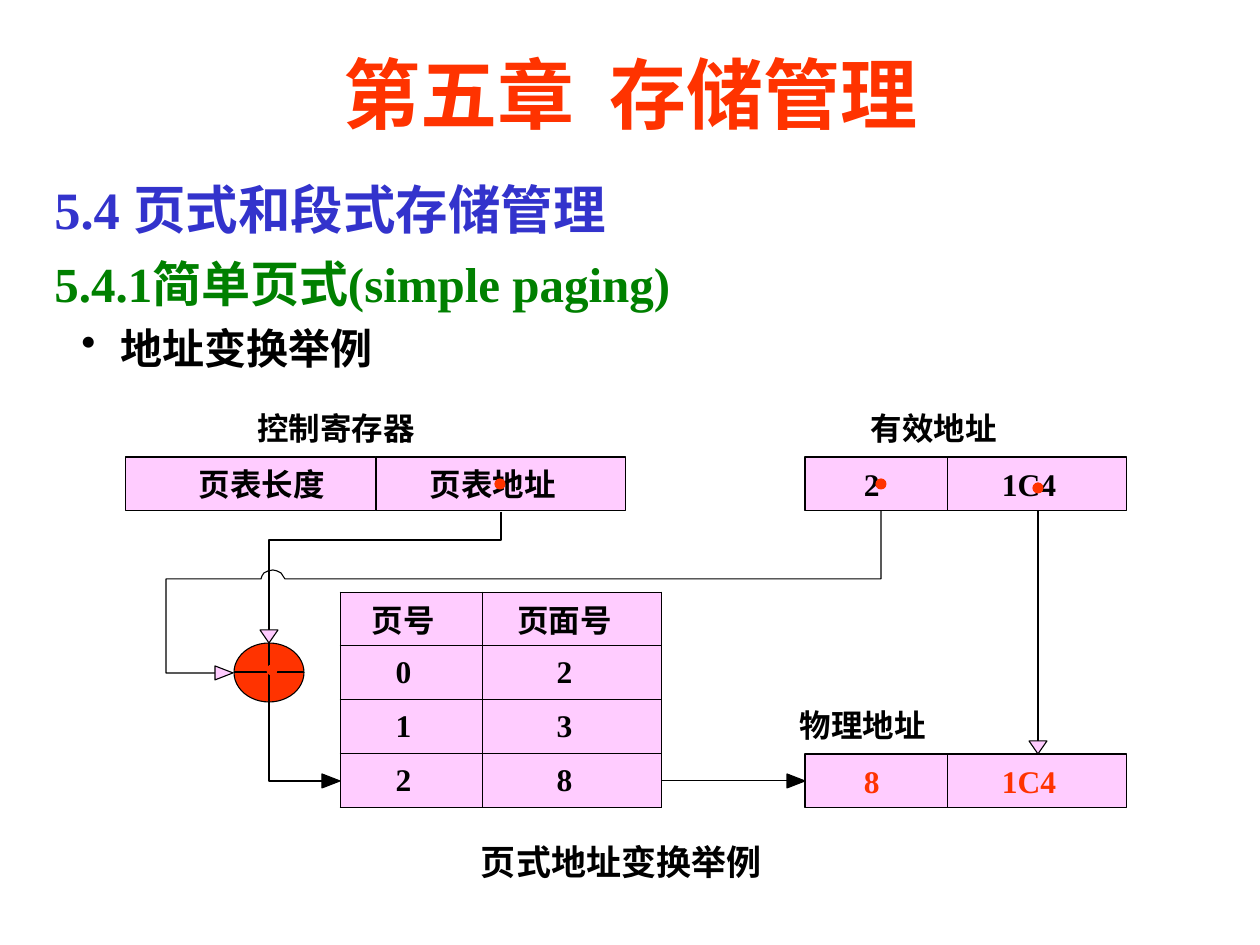
from lxml import etree
from pptx import Presentation
from pptx.dml.color import RGBColor
from pptx.enum.shapes import MSO_CONNECTOR, MSO_SHAPE
from pptx.enum.text import MSO_ANCHOR, MSO_AUTO_SIZE, PP_ALIGN
from pptx.oxml.ns import qn
from pptx.util import Pt

PX = 7257
STRAIGHT = MSO_CONNECTOR.STRAIGHT
RECTANGLE, OVAL = MSO_SHAPE.RECTANGLE, MSO_SHAPE.OVAL
MIDDLE, LEFT, CENTER = MSO_ANCHOR.MIDDLE, PP_ALIGN.LEFT, PP_ALIGN.CENTER
FONT = "Times New Roman"
THIN = Pt(0.63)
COLORS = {
    "red": "FF3300",
    "blue": "3333CC",
    "green": "008000",
    "black": "000000",
    "pink": "FFCCFF",
}


def write(paragraph, text, size=18, color="black", align=LEFT, before=0, spacing=None):
    paragraph.alignment = align
    paragraph.space_before = Pt(before)
    paragraph.line_spacing = spacing
    run = paragraph.add_run()
    run.text = text
    run.font.name = FONT
    run.font.size = Pt(size)
    run.font.bold = True
    run.font.color.rgb = RGBColor.from_string(COLORS[color])


def paint(shape, fill=None, line="black"):
    shape.shadow.inherit = False
    if fill:
        shape.fill.solid()
        shape.fill.fore_color.rgb = RGBColor.from_string(COLORS[fill])
    else:
        shape.fill.background()
    shape.line.color.rgb = RGBColor.from_string(COLORS[line])
    shape.line.width = THIN


presentation = Presentation()
presentation.slide_width = 1260 * PX
presentation.slide_height = 945 * PX
slide = presentation.slides.add_slide(presentation.slide_layouts[5])
shapes = slide.shapes

title = shapes.title
title.left, title.top, title.width, title.height = 95 * PX, 35 * PX, 1071 * PX, 116 * PX
title.text_frame.auto_size = MSO_AUTO_SIZE.NONE
title.text_frame.vertical_anchor = MIDDLE
write(title.text_frame.paragraphs[0], "第五章  存储管理", size=44, color="red", align=CENTER)

outline = shapes.add_textbox(42 * PX, 168 * PX, 1166 * PX, 210 * PX).text_frame
outline.word_wrap = True
heading = outline.paragraphs[0]
write(heading, "5.4 页式和段式存储管理", size=30, color="blue", before=6, spacing=1.05)
subheading = outline.add_paragraph()
write(subheading, "5.4.1简单页式(simple paging)", size=28, color="green", before=5.6, spacing=1.05)
topic = outline.add_paragraph()
write(topic, "地址变换举例", size=24, before=4.8, spacing=1.05)
topic_properties = topic._p.get_or_add_pPr()
topic_properties.set("marL", str(66 * PX))
topic_properties.set("indent", str(-39 * PX))
etree.SubElement(topic_properties, qn("a:buChar"), char="•")

for text, left, top, width, size in [
    ("控制寄存器", 257, 409, 159, 18),
    ("有效地址", 871, 409, 127, 18),
    ("物理地址", 800, 706, 127, 18),
    ("页式地址变换举例", 481, 840, 282, 20),
]:
    label = shapes.add_textbox(left * PX, top * PX, width * PX, 46 * PX).text_frame
    label.margin_left = label.margin_right = label.margin_top = label.margin_bottom = 0
    label.word_wrap = False
    write(label.paragraphs[0], text, size=size)

for text, left, top, width, inset, color in [
    ("页表长度", 126, 457, 250, 73, "black"),
    ("页表地址", 376, 457, 250, 54, "black"),
    ("2", 805, 457, 143, 59, "black"),
    ("1C4", 948, 457, 179, 54, "black"),
    ("8", 805, 754, 143, 59, "red"),
    ("1C4", 948, 754, 179, 54, "red"),
]:
    register = shapes.add_shape(RECTANGLE, left * PX, top * PX, width * PX, 54 * PX)
    paint(register, "pink")
    frame = register.text_frame
    frame.margin_left = inset * PX
    frame.margin_right = frame.margin_top = frame.margin_bottom = 0
    frame.word_wrap = False
    frame.vertical_anchor = MIDDLE
    write(frame.paragraphs[0], text, color=color)

page_rows = [("页号", "页面号"), ("0", "2"), ("1", "3"), ("2", "8")]
page_table = shapes.add_table(4, 2, 340 * PX, 592 * PX, 322 * PX, 216 * PX).table
page_table.first_row = page_table.horz_banding = False
page_table.columns[0].width = 143 * PX
page_table.columns[1].width = 179 * PX
for row_index, row in enumerate(page_rows):
    page_table.rows[row_index].height = 54 * PX
    for column_index, text in enumerate(row):
        cell = page_table.cell(row_index, column_index)
        cell.margin_left = cell.margin_top = cell.margin_bottom = 0
        cell.margin_right = 16 * PX
        cell.vertical_anchor = MIDDLE
        write(cell.text_frame.paragraphs[0], text, align=CENTER)
        cell_properties = cell._tc.get_or_add_tcPr()
        for side in ("a:lnL", "a:lnR", "a:lnT", "a:lnB"):
            border = etree.SubElement(cell_properties, qn(side), w=str(THIN))
            border_fill = etree.SubElement(border, qn("a:solidFill"))
            etree.SubElement(border_fill, qn("a:srgbClr"), val=COLORS["black"])
        cell.fill.solid()
        cell.fill.fore_color.rgb = RGBColor.from_string(COLORS["pink"])

page_number_path = [
    (881, 511), (881, 579), (285, 579), (283, 576), (281, 573), (277, 571), (273, 570),
    (268, 571), (264, 573), (262, 576), (261, 579), (166, 579), (166, 673), (215, 673),
]
table_address_path = [(501, 512), (501, 540), (269, 540), (269, 633)]
entry_path = [(269, 702), (269, 781), (322, 781)]
for points in (page_number_path, table_address_path, entry_path):
    builder = shapes.build_freeform(*points[0], scale=PX)
    builder.add_line_segments(points[1:], close=False)
    paint(builder.convert_to_shape())

adder = shapes.add_shape(OVAL, 234 * PX, 643 * PX, 70 * PX, 59 * PX)
paint(adder, "red")

for start_x, start_y, end_x, end_y in [
    (662, 781, 787, 781),
    (1038, 511, 1038, 741),
    (234, 672, 304, 672),
    (269, 643, 269, 702),
]:
    line = shapes.add_connector(STRAIGHT, start_x * PX, start_y * PX, end_x * PX, end_y * PX)
    line.line.color.rgb = RGBColor.from_string(COLORS["black"])
    line.line.width = THIN
    etree.SubElement(line._element.spPr, qn("a:effectLst"))

for tip_x, tip_y, points_down, fill in [
    (340, 781, False, "black"),
    (805, 781, False, "black"),
    (233, 673, False, "pink"),
    (269, 643, True, "pink"),
    (1038, 754, True, "pink"),
]:
    if points_down:
        base = [(tip_x - 9, tip_y - 13), (tip_x + 9, tip_y - 13)]
    else:
        base = [(tip_x - 18, tip_y - 7), (tip_x - 18, tip_y + 7)]
    builder = shapes.build_freeform(tip_x, tip_y, scale=PX)
    builder.add_line_segments(base, close=True)
    paint(builder.convert_to_shape(), fill)

for center_x, center_y in [(500, 484), (881, 484), (1038, 488), (272, 670)]:
    dot = shapes.add_shape(OVAL, (center_x - 5) * PX, (center_y - 5) * PX, 10 * PX, 10 * PX)
    paint(dot, "red", "red")

presentation.save("out.pptx")
